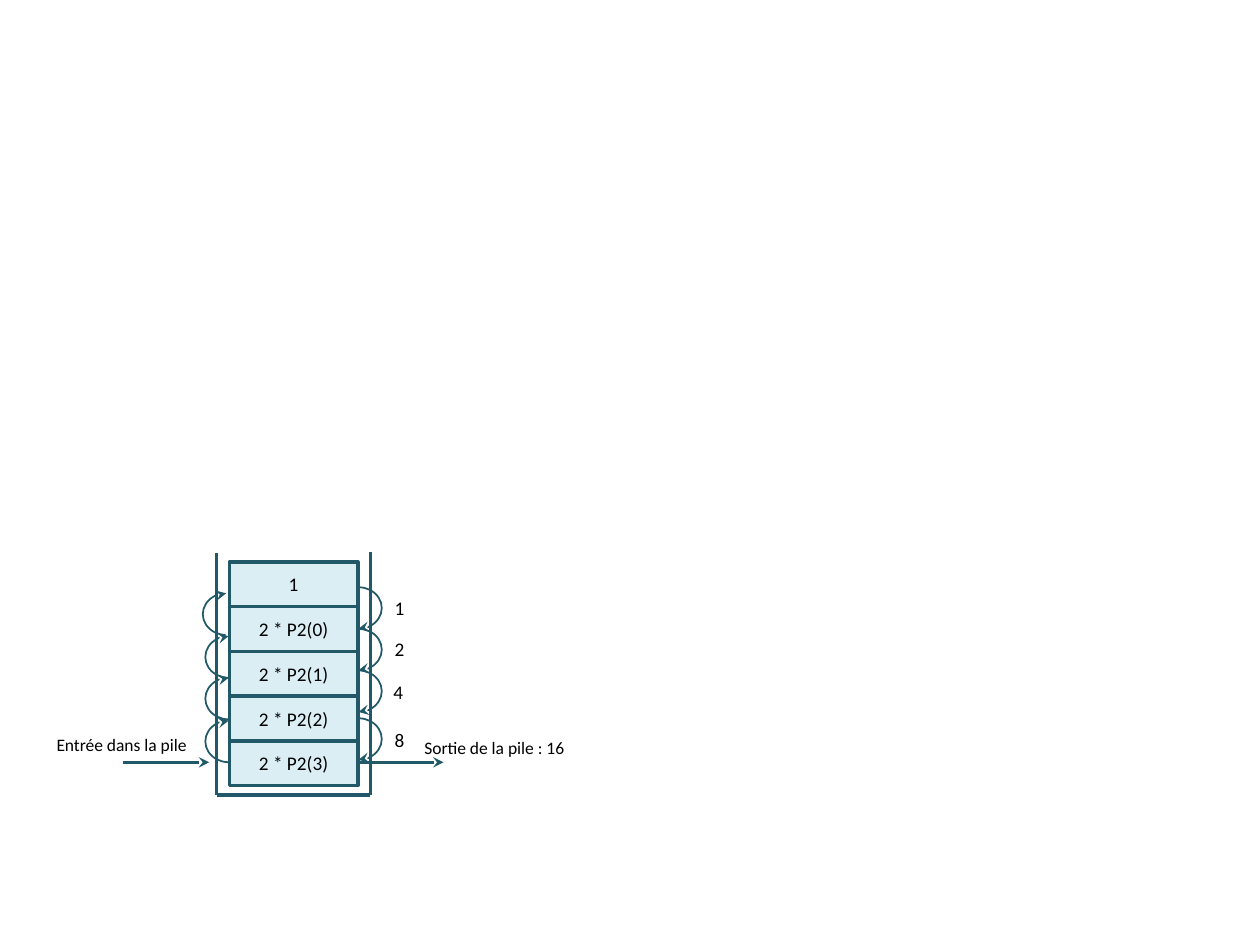
from lxml import etree
from pptx import Presentation
from pptx.dml.color import RGBColor
from pptx.enum.shapes import MSO_CONNECTOR, MSO_SHAPE
from pptx.enum.text import MSO_ANCHOR, MSO_AUTO_SIZE, PP_ALIGN
from pptx.oxml.ns import qn
from pptx.util import Inches, Pt

TEAL = RGBColor(0x21, 0x59, 0x68)
PALE_BLUE = RGBColor(0xDB, 0xEE, 0xF4)
BLACK = RGBColor(0, 0, 0)
STRAIGHT = MSO_CONNECTOR.STRAIGHT
RECTANGLE, ARC = MSO_SHAPE.RECTANGLE, MSO_SHAPE.ARC
CENTER, LEFT = PP_ALIGN.CENTER, PP_ALIGN.LEFT
MIDDLE, TOP = MSO_ANCHOR.MIDDLE, MSO_ANCHOR.TOP
GROW = MSO_AUTO_SIZE.SHAPE_TO_FIT_TEXT

deck = Presentation()
deck.slide_width, deck.slide_height = Inches(10), Inches(7.5)
page = deck.slides.add_slide(deck.slide_layouts[6])


def write(shape, text, size=11, align=CENTER, anchor=TOP, wrap=False):
    frame = shape.text_frame
    frame.word_wrap = wrap
    frame.vertical_anchor = anchor
    para = frame.paragraphs[0]
    para.alignment = align
    span = para.add_run()
    span.text = text
    span.font.name = "Calibri"
    span.font.size = Pt(size)
    span.font.color.rgb = BLACK


def style_line(shape, width, arrow=False):
    shape.line.color.rgb = TEAL
    shape.line.width = Pt(width)
    if arrow:
        etree.SubElement(shape.line._get_or_add_ln(), qn("a:tailEnd"), type="stealth")


# Stack of calls, first call at the bottom
cell_height = 0.355
calls = ["1", "2 * P2(0)", "2 * P2(1)", "2 * P2(2)", "2 * P2(3)"]
for row, call in enumerate(calls):
    cell = page.shapes.add_shape(
        RECTANGLE, Inches(1.82), Inches(4.46 + row * cell_height), Inches(1.02), Inches(cell_height)
    )
    cell.shadow.inherit = False
    cell.fill.solid()
    cell.fill.fore_color.rgb = PALE_BLUE
    style_line(cell, 2)
    write(cell, call, anchor=MIDDLE, wrap=True)

# Container walls, then the entry and exit arrows
for x1, y1, x2, y2, arrow in [
    (1.72, 4.39, 1.72, 6.31, False),
    (2.94, 4.38, 2.94, 6.31, False),
    (2.94, 6.31, 1.72, 6.31, False),
    (0.98, 6.05, 1.66, 6.05, True),
    (2.84, 6.05, 3.52, 6.05, True),
]:
    line = page.shapes.add_connector(STRAIGHT, Inches(x1), Inches(y1), Inches(x2), Inches(y2))
    style_line(line, 2, arrow)
    etree.SubElement(line._element.spPr, qn("a:effectLst"))

# Calls climb on the left, results come down on the right
for left, top, rotation in [
    (1.63, 5.72, 0), (1.63, 5.38, 0), (1.63, 5.05, 0), (1.61, 4.71, 0),
    (2.66, 4.66, 180), (2.66, 4.99, 180), (2.66, 5.32, 180), (2.66, 5.70, 180),
]:
    arc = page.shapes.add_shape(ARC, Inches(left), Inches(top), Inches(0.37), Inches(0.33))
    arc.adjustments[0], arc.adjustments[1] = 54.98, 162
    arc.rotation = rotation
    arc.shadow.inherit = False
    arc.fill.background()
    style_line(arc, 1, arrow=True)

for text, left, top, width, height, size, align in [
    ("1", 3.03, 4.68, 0.28, 0.29, 11, CENTER),
    ("2", 3.03, 5.01, 0.28, 0.29, 11, CENTER),
    ("4", 3.02, 5.35, 0.28, 0.29, 11, CENTER),
    ("8", 3.03, 5.73, 0.28, 0.29, 11, CENTER),
    ("Entrée dans la pile", 0.35, 5.78, 1.25, 0.27, 10, LEFT),
    ("Sortie de la pile : 16", 3.27, 5.80, 1.33, 0.27, 10, LEFT),
]:
    label = page.shapes.add_textbox(Inches(left), Inches(top), Inches(width), Inches(height))
    write(label, text, size=size, align=align)
    label.text_frame.auto_size = GROW

deck.save("out.pptx")
